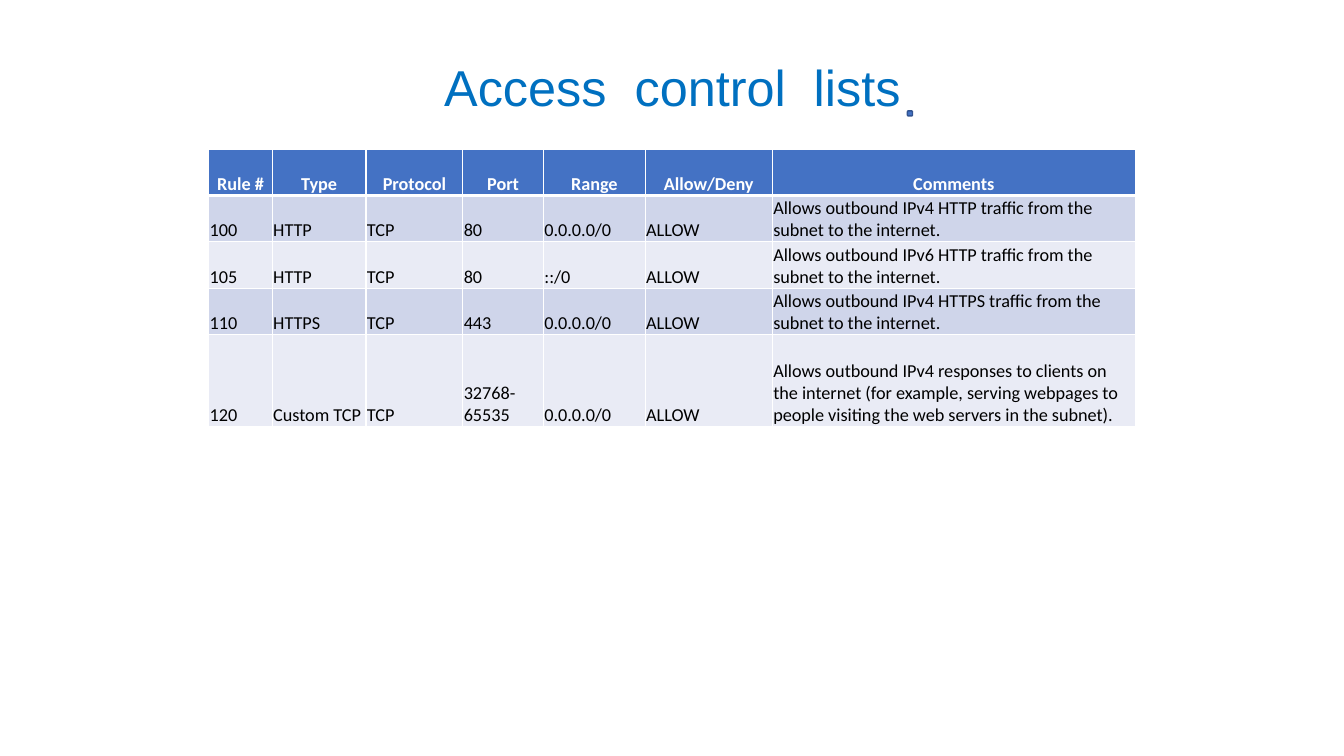
from dataclasses import dataclass

from lxml import etree
from pptx import Presentation
from pptx.dml.color import RGBColor
from pptx.enum.shapes import MSO_SHAPE
from pptx.enum.text import MSO_ANCHOR, PP_ALIGN
from pptx.oxml.ns import qn
from pptx.util import Inches, Pt

ROUND = MSO_SHAPE.ROUNDED_RECTANGLE
BOTTOM = MSO_ANCHOR.BOTTOM
LEFT, CENTER = PP_ALIGN.LEFT, PP_ALIGN.CENTER


@dataclass(frozen=True)
class Theme:
    """Colours, fonts and type sizes of the slide."""
    title: str = "0070C0"
    head: str = "4472C4"
    edge: str = "325491"
    bands: tuple = ("CFD5EA", "E9EBF5")
    white: str = "FFFFFF"
    black: str = "000000"
    title_font: str = "Arial"
    body_font: str = "Calibri"
    title_size: int = 36
    body_size: int = 13
    rule: int = 1
    head_rule: int = 3


THEME = Theme()
WIDTHS = (0.63, 0.93, 0.96, 0.8, 1.01, 1.26, 3.6)
HEIGHTS = (0.46, 0.46, 0.46, 0.46, 0.91)
RULES = (
    ("Rule #", "Type", "Protocol", "Port", "Range", "Allow/Deny", "Comments"),
    ("100", "HTTP", "TCP", "80", "0.0.0.0/0", "ALLOW",
     "Allows outbound IPv4 HTTP traffic from the subnet to the internet."),
    ("105", "HTTP", "TCP", "80", "::/0", "ALLOW",
     "Allows outbound IPv6 HTTP traffic from the subnet to the internet."),
    ("110", "HTTPS", "TCP", "443", "0.0.0.0/0", "ALLOW",
     "Allows outbound IPv4 HTTPS traffic from the subnet to the internet."),
    ("120", "Custom TCP", "TCP", "32768-65535", "0.0.0.0/0", "ALLOW",
     "Allows outbound IPv4 responses to clients on the internet (for example, "
     "serving webpages to people visiting the web servers in the subnet)."),
)


def style(frame, align, font, size, color, bold=False):
    """Format the only paragraph of a text frame."""
    para = frame.paragraphs[0]
    para.alignment = align
    for run in para.runs:
        run.font.name = font
        run.font.size = Pt(size)
        run.font.bold = bold
        run.font.color.rgb = RGBColor.from_string(color)


def add_rules(cell, top, bottom):
    """Draw white rules on the four sides of a cell."""
    props = cell._tc.get_or_add_tcPr()
    sides = {"L": THEME.rule, "R": THEME.rule, "T": top, "B": bottom}
    for side, width in sides.items():
        line = etree.SubElement(props, qn(f"a:ln{side}"), w=str(Pt(width)))
        fill = etree.SubElement(line, qn("a:solidFill"))
        etree.SubElement(fill, qn("a:srgbClr"), val=THEME.white)


def fill_cell(cell, text, row):
    """Write and format one cell according to its row."""
    is_head = row == 0
    add_rules(cell, THEME.head_rule if row == 1 else THEME.rule,
              THEME.head_rule if is_head else THEME.rule)
    shade = THEME.head if is_head else THEME.bands[(row - 1) % 2]
    cell.fill.solid()
    cell.fill.fore_color.rgb = RGBColor.from_string(shade)
    cell.margin_left = cell.margin_right = cell.margin_top = Inches(0.01)
    cell.margin_bottom = 0
    cell.vertical_anchor = BOTTOM
    cell.text_frame.text = text
    style(cell.text_frame, CENTER if is_head else LEFT, THEME.body_font,
          THEME.body_size, THEME.white if is_head else THEME.black, is_head)


def add_rows(slide, left, top):
    """Place the table of access rules."""
    frame = slide.shapes.add_table(
        len(RULES), len(WIDTHS), Inches(left), Inches(top),
        Inches(sum(WIDTHS)), Inches(sum(HEIGHTS)))
    table = frame.table
    for col, width in zip(table.columns, WIDTHS):
        col.width = Inches(width)
    for row, height in zip(table.rows, HEIGHTS):
        row.height = Inches(height)
    for row, texts in enumerate(RULES):
        for col, text in enumerate(texts):
            fill_cell(table.cell(row, col), text, row)


def add_title(slide, left, top, width, height):
    """Place the heading and the small dot after it."""
    dot = slide.shapes.add_shape(
        ROUND, Inches(left + 5.44), Inches(top + 0.59), Inches(0.05), Inches(0.05))
    dot.shadow.inherit = False
    dot.fill.solid()
    dot.fill.fore_color.rgb = RGBColor.from_string(THEME.head)
    dot.line.color.rgb = RGBColor.from_string(THEME.edge)
    dot.line.width = Pt(THEME.rule)
    box = slide.shapes.add_textbox(
        Inches(left), Inches(top), Inches(width), Inches(height))
    box.text_frame.word_wrap = False
    box.text_frame.text = "Access  control  lists"
    style(box.text_frame, CENTER, THEME.title_font, THEME.title_size, THEME.title)


def main():
    """Build and save the slide."""
    deck = Presentation()
    deck.slide_width, deck.slide_height = Inches(13.33), Inches(7.5)
    slide = deck.slides.add_slide(deck.slide_layouts[6])
    add_title(slide, 3.56, 0.51, 6.22, 0.71)
    add_rows(slide, 2.07, 1.48)
    deck.save("out.pptx")


if __name__ == "__main__":
    main()
